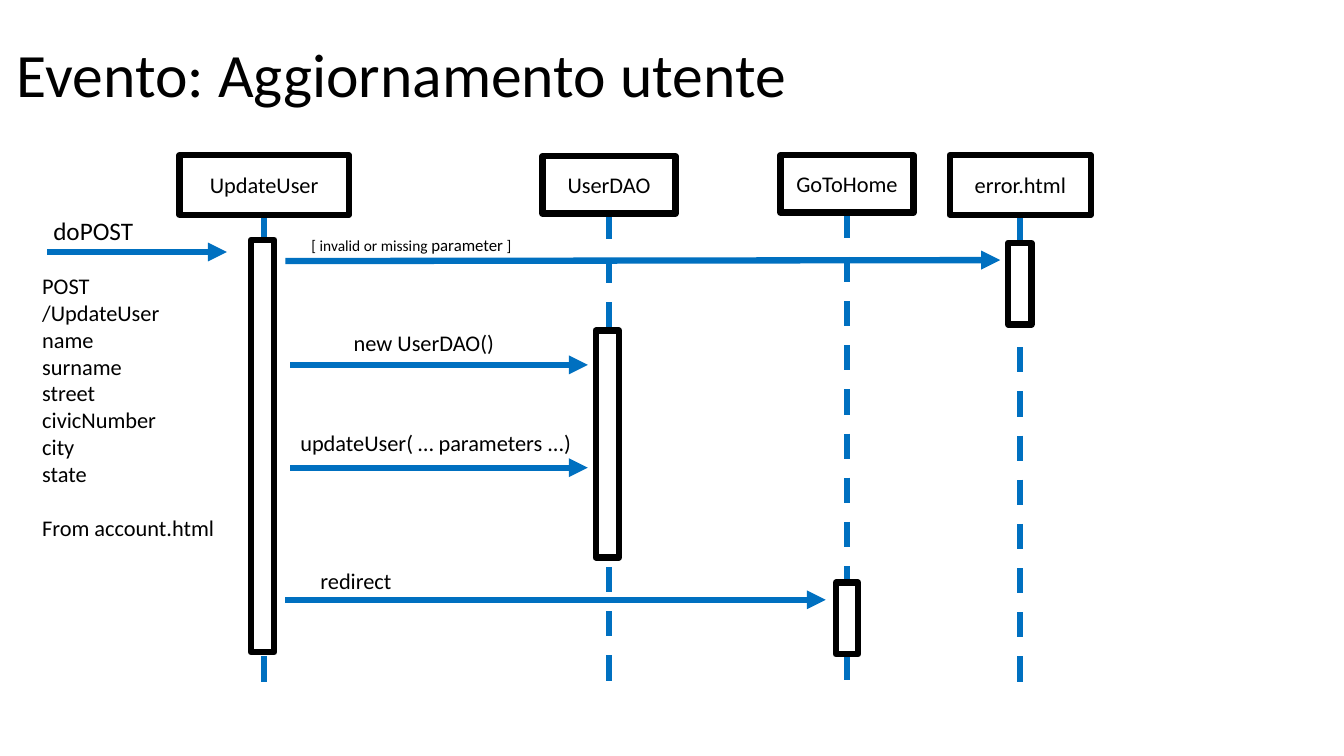
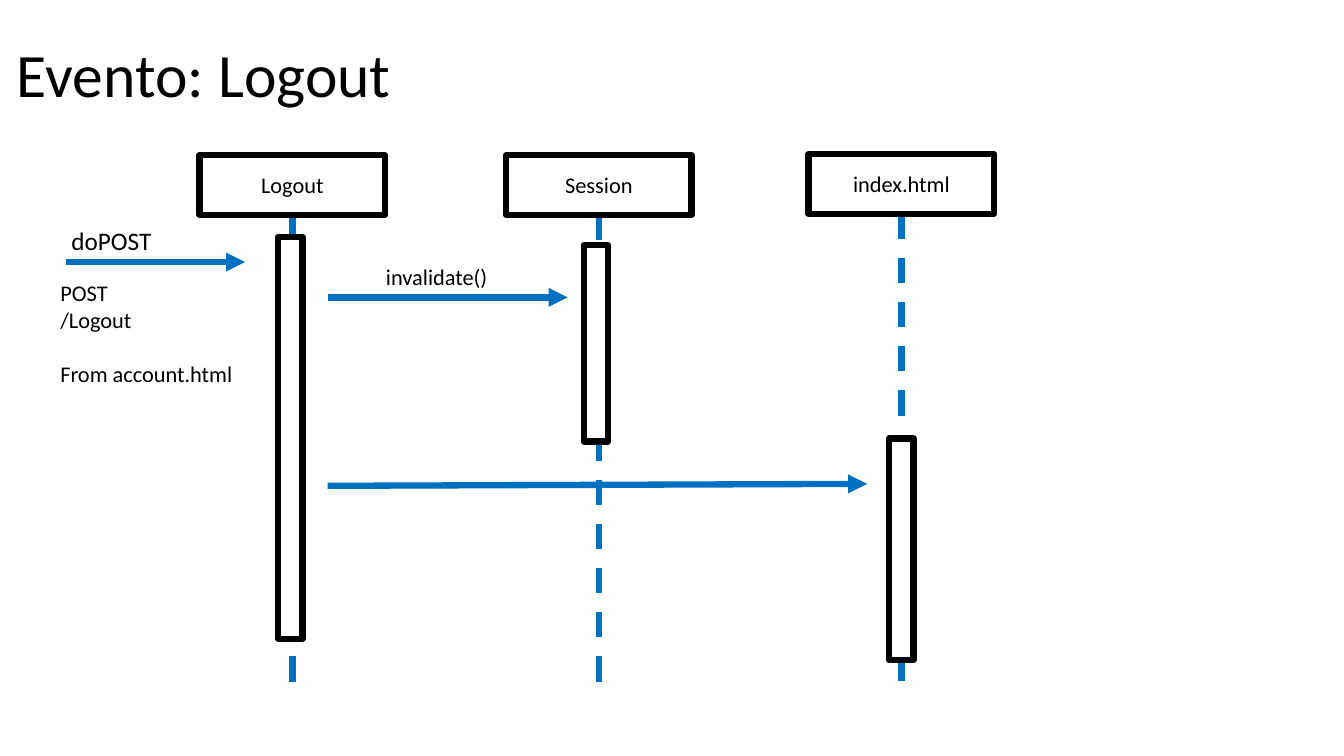
from lxml import etree
from pptx import Presentation
from pptx.dml.color import RGBColor
from pptx.enum.dml import MSO_LINE
from pptx.enum.shapes import MSO_CONNECTOR, MSO_SHAPE
from pptx.enum.text import MSO_ANCHOR, PP_ALIGN
from pptx.oxml.ns import qn
from pptx.util import Pt

PX = 9144  # 100 px to the inch
BLACK = RGBColor(0x00, 0x00, 0x00)
WHITE = RGBColor(0xFF, 0xFF, 0xFF)
BLUE = RGBColor(0x00, 0x70, 0xC0)

RECTANGLE = MSO_SHAPE.RECTANGLE
STRAIGHT = MSO_CONNECTOR.STRAIGHT
DASH = MSO_LINE.DASH
MIDDLE = MSO_ANCHOR.MIDDLE
CENTER = PP_ALIGN.CENTER
BOTTOM_SIDE = 2

FONT = "Calibri"
STROKE = Pt(4.5)
LIFELINE_REACH = 532  # from the top of the head to the end of the lifeline
TITLE_AREA = (7, 4, 1112, 145)
TITLE_FRAME = {"vertical_anchor": MIDDLE}
TITLE_PARA = {"line_spacing": 0.9}
HEAD_PARA = {"alignment": CENTER}
GAP_PARA = {"space_before": Pt(19.5)}


def px(*lengths):
    return [round(length * PX) for length in lengths]


def apply(target, formats):
    for name, value in formats.items():
        setattr(target, name, value)


def write(para, spans, formats):
    """Fill a paragraph with (text, size) spans."""
    apply(para, formats)
    for text, size in spans:
        span = para.add_run()
        span.text = text
        apply(span.font, {"name": FONT, "size": Pt(size)})
        span.font.color.rgb = BLACK


def add_text(page, area, paras, frame_formats=None):
    """Add a text box from (spans, paragraph formats) pairs."""
    frame = page.shapes.add_textbox(*px(*area)).text_frame
    apply(frame, {"word_wrap": True, **(frame_formats or {})})
    for index, (spans, formats) in enumerate(paras):
        para = frame.add_paragraph() if index else frame.paragraphs[0]
        write(para, spans, formats)


def add_label(page, area, text, size=16):
    add_text(page, area, [([(text, size)], {})])


def add_box(page, area):
    box = page.shapes.add_shape(RECTANGLE, *px(*area))
    box.shadow.inherit = False
    box.fill.solid()
    box.fill.fore_color.rgb = WHITE
    box.line.color.rgb = BLACK
    box.line.width = STROKE
    return box


def add_line(page, start, end):
    line = page.shapes.add_connector(STRAIGHT, *px(*start, *end))
    line.line.color.rgb = BLUE
    line.line.width = STROKE
    etree.SubElement(line._element.spPr, qn("a:effectLst"))
    return line


def add_arrow(page, start, end):
    outline = add_line(page, start, end).line._get_or_add_ln()
    etree.SubElement(outline, qn("a:tailEnd"), type="triangle")


def add_participant(page, name, axis, head, bar):
    """Draw a named head, its dashed lifeline and its activation bar."""
    top, width, height = head
    # The lifeline comes first so that it stays behind the head
    lifeline = add_line(page, (axis, top + height), (axis, top + LIFELINE_REACH))
    lifeline.line.dash_style = DASH
    box = add_box(page, (axis - width / 2, top, width, height))
    lifeline.begin_connect(box, BOTTOM_SIDE)
    frame = box.text_frame
    apply(frame, {"word_wrap": True, "vertical_anchor": MIDDLE})
    write(frame.paragraphs[0], [(name, 16)], HEAD_PARA)
    add_box(page, bar)


def add_request(page, left, top, lines, details_top, details_height):
    """Draw the incoming doPOST call with its parameters and origin."""
    add_label(page, (left, top, 101, 40), "doPOST", 18)
    add_arrow(page, (left + 4, top + 41), (left + 182, top + 41))
    paras = [([(line, 16)], {}) for line in lines]
    paras.append(([("From account.html", 16)], GAP_PARA))
    add_text(page, (left - 11, details_top, 205, details_height), paras)


def add_page(deck, title, participants):
    page = deck.slides.add_slide(deck.slide_layouts[6])
    add_text(page, TITLE_AREA, [([(title, 44)], TITLE_PARA)], TITLE_FRAME)
    for participant in participants:
        add_participant(page, *participant)
    return page


def build_update(deck):
    page = add_page(deck, "Evento: Aggiornamento utente", [
        # name, axis, head (top, width, height), bar area
        ("UpdateUser", 262, (154, 168, 59), (249, 238, 23, 409)),
        ("error.html", 1012, (154, 140, 59), (1000, 241, 23, 81)),
        ("GoToHome", 840, (154, 132, 57), (829, 578, 22, 71)),
        ("UserDAO", 604, (155, 132, 57), (591, 328, 23, 225)),
    ])
    fields = ["POST", "/UpdateUser", "name", "surname", "street",
              "civicNumber", "city", "state"]
    add_request(page, 43, 209, fields, 265, 279)

    # Messages
    add_arrow(page, (283, 259), (992, 258))
    guard = [("[ invalid or missing ", 11), ("parameter", 12), (" ]", 11)]
    add_text(page, (299, 228, 389, 30), [(guard, {})])
    for y in (362, 464):
        add_arrow(page, (288, y), (583, y))
    add_label(page, (341, 322, 164, 37), "new UserDAO()")
    add_label(page, (288, 421, 295, 37), "updateUser( … parameters ...)")
    add_arrow(page, (283, 595), (819, 595))
    add_label(page, (308, 558, 164, 37), "redirect")


def build_logout(deck):
    head_size = (184, 59)
    page = add_page(deck, "Evento: Logout", [
        ("Logout", 290, (154, *head_size), (276, 235, 24, 399)),
        ("Session", 594, (154, *head_size), (579, 243, 24, 195)),
        ("index.html", 894, (153, *head_size), (882, 435, 24, 220)),
    ])
    add_request(page, 61, 219, ["POST", "/Logout"], 272, 118)

    # Messages
    add_arrow(page, (325, 295), (563, 295))
    add_label(page, (373, 256, 127, 38), "invalidate()")
    add_arrow(page, (325, 482), (860, 480))


def main():
    deck = Presentation()
    deck.slide_width, deck.slide_height = px(1333, 750)
    build_update(deck)
    build_logout(deck)
    deck.save("out.pptx")


if __name__ == "__main__":
    main()
